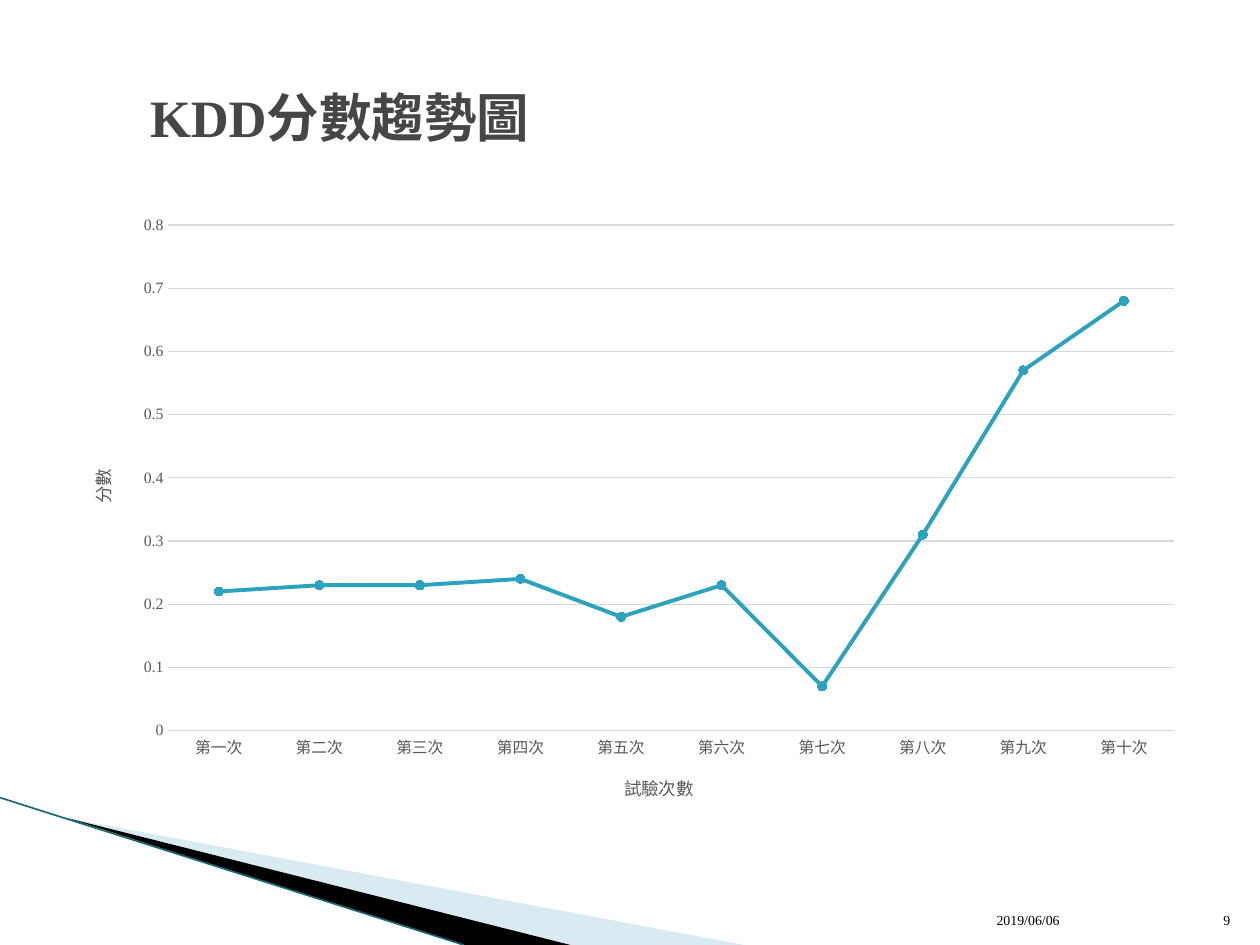
from dataclasses import dataclass

from lxml.etree import SubElement
from pptx import Presentation
from pptx.chart.data import CategoryChartData
from pptx.dml.color import RGBColor
from pptx.enum.chart import XL_CHART_TYPE, XL_MARKER_STYLE, XL_TICK_MARK
from pptx.enum.shapes import MSO_CONNECTOR
from pptx.enum.text import MSO_ANCHOR, PP_ALIGN
from pptx.oxml import parse_xml
from pptx.oxml.ns import nsdecls, qn
from pptx.util import Cm, Pt


@dataclass(frozen=True)
class Theme:
    font: str = "Times New Roman"
    title: RGBColor = RGBColor(0x46, 0x46, 0x46)
    text: RGBColor = RGBColor(0, 0, 0)
    axis_text: RGBColor = RGBColor(0x59, 0x59, 0x59)
    grid: RGBColor = RGBColor(0xD9, 0xD9, 0xD9)
    accent: RGBColor = RGBColor(0x2D, 0xA2, 0xBF)
    edge: RGBColor = RGBColor(0x16, 0x69, 0x7A)
    pale: RGBColor = RGBColor(0xA0, 0xCB, 0xDC)
    title_size: Pt = Pt(30)
    axis_title_size: Pt = Pt(10)
    tick_size: Pt = Pt(9)
    footer_size: Pt = Pt(7.9)


THEME = Theme()
WIDTH, HEIGHT = 25.4, 19.05

TRIALS = [f"第{number}次" for number in "一二三四五六七八九十"]
SCORES = [0.22, 0.23, 0.23, 0.24, 0.18, 0.23, 0.07, 0.31, 0.57, 0.68]


def style_font(font, size, color, bold=False):
    font.name = THEME.font
    font.size = size
    font.bold = bold
    font.color.rgb = color


def add_wedge(slide, points, color, opacity=100):
    """Draw a borderless polygon through points given in centimetres."""
    start, *rest = [(Cm(x), Cm(y)) for x, y in points]
    builder = slide.shapes.build_freeform(*start)
    builder.add_line_segments(rest)
    wedge = builder.convert_to_shape()
    wedge.shadow.inherit = False
    wedge.fill.solid()
    wedge.fill.fore_color.rgb = color
    wedge.line.fill.background()
    if opacity < 100:
        rgb = wedge.element.spPr.find(qn("a:solidFill")).find(qn("a:srgbClr"))
        SubElement(rgb, qn("a:alpha"), val=str(opacity * 1000))


def add_corner(slide, left, top, width, height):
    """Fan of two wedges and an edge line running to the bottom of the box."""
    bottom = top + height
    tip_x, tip_y = left + 1.35, top + 0.41
    add_wedge(slide, [(tip_x, tip_y), (left + width, bottom),
                      (left + 11.5, bottom)], THEME.pale, opacity=40)
    add_wedge(slide, [(tip_x, tip_y), (left + 11.5, bottom),
                      (left + 9.35, bottom)], THEME.text)
    edge = slide.shapes.add_connector(
        MSO_CONNECTOR.STRAIGHT, Cm(left), Cm(top), Cm(left + 9.35), Cm(bottom))
    edge.line.color.rgb = THEME.edge
    edge.line.width = Pt(0.95)
    SubElement(edge.element.spPr, qn("a:effectLst"))


def place_title(slide, left, top, width, height):
    title = slide.shapes.title
    title.left, title.top = Cm(left), Cm(top)
    title.width, title.height = Cm(width), Cm(height)
    frame = title.text_frame
    frame.text = "KDD分數趨勢圖"
    frame.vertical_anchor = MSO_ANCHOR.MIDDLE
    paragraph = frame.paragraphs[0]
    paragraph.alignment = PP_ALIGN.LEFT
    style_font(paragraph.runs[0].font, THEME.title_size, THEME.title, bold=True)


def add_footer(slide, left, top, width, height):
    """Date on the left and slide number on the right of the box."""
    date_width = 3.58
    parts = [("2019/06/06", left, date_width, PP_ALIGN.LEFT),
             ("9", left + date_width, width - date_width, PP_ALIGN.RIGHT)]
    for wording, part_left, part_width, alignment in parts:
        footer = slide.shapes.add_textbox(
            Cm(part_left), Cm(top), Cm(part_width), Cm(height))
        frame = footer.text_frame
        frame.word_wrap = True
        frame.vertical_anchor = MSO_ANCHOR.BOTTOM
        frame.text = wording
        paragraph = frame.paragraphs[0]
        paragraph.alignment = alignment
        style_font(paragraph.runs[0].font, THEME.footer_size, THEME.text)


def style_axis(axis, title, rotation=0):
    frame = axis.axis_title.text_frame
    frame.text = title
    style_font(frame.paragraphs[0].runs[0].font,
               THEME.axis_title_size, THEME.axis_text)
    body = axis.axis_title.element.xpath(".//a:bodyPr")[0]
    body.set("rot", str(rotation * 60000))
    body.set("vert", "horz")
    style_font(axis.tick_labels.font, THEME.tick_size, THEME.axis_text)
    axis.major_tick_mark = XL_TICK_MARK.NONE
    axis.minor_tick_mark = XL_TICK_MARK.NONE


def set_plot_layout(chart, x, y, w, h):
    """Fix the inner plot area, in fractions of the chart."""
    plot_area = chart.element.xpath(".//c:plotArea")[0]
    for layout in plot_area.findall(qn("c:layout")):
        plot_area.remove(layout)
    sizes = "".join(f'<c:{tag} val="{value}"/>'
                    for tag, value in zip("xywh", (x, y, w, h)))
    plot_area.insert(0, parse_xml(
        f'<c:layout {nsdecls("c")}><c:manualLayout><c:layoutTarget val="inner"/>'
        f'<c:xMode val="edge"/><c:yMode val="edge"/>{sizes}'
        '</c:manualLayout></c:layout>'))


def add_score_chart(slide, left, top, width, height):
    data = CategoryChartData()
    data.categories = TRIALS
    data.add_series("Series 1", SCORES)
    chart = slide.shapes.add_chart(
        XL_CHART_TYPE.LINE_MARKERS, Cm(left), Cm(top), Cm(width), Cm(height),
        data).chart
    style_font(chart.font, THEME.axis_title_size, THEME.text)
    chart.has_title = False
    chart.has_legend = False
    set_plot_layout(chart, 0.093, 0.034, 0.887, 0.811)

    style_axis(chart.category_axis, "試驗次數")
    chart.category_axis.format.line.color.rgb = THEME.grid
    chart.category_axis.format.line.width = Pt(0.75)

    score_axis = chart.value_axis
    style_axis(score_axis, "分數", rotation=-90)
    score_axis.minimum_scale, score_axis.maximum_scale = 0, 0.8
    score_axis.major_unit = 0.1
    score_axis.format.line.fill.background()
    gridlines = score_axis.major_gridlines.format.line
    gridlines.color.rgb = THEME.grid
    gridlines.width = Pt(0.75)

    chart.plots[0].vary_by_categories = False
    scores = chart.plots[0].series[0]
    scores.smooth = False
    scores.format.line.color.rgb = THEME.accent
    scores.format.line.width = Pt(2.25)
    scores.marker.style = XL_MARKER_STYLE.CIRCLE
    scores.marker.size = 5
    scores.marker.format.fill.solid()
    scores.marker.format.fill.fore_color.rgb = THEME.accent
    scores.marker.format.line.color.rgb = THEME.accent


def main():
    deck = Presentation()
    deck.slide_width, deck.slide_height = Cm(WIDTH), Cm(HEIGHT)
    slide = deck.slides.add_slide(deck.slide_layouts[5])
    add_corner(slide, 0, 16.08, 15, HEIGHT - 16.08)
    place_title(slide, 2.77, 0.76, 21.36, 3.18)
    add_footer(slide, 19.84, 17.81, 5.21, 1.02)
    add_score_chart(slide, 1.27, 4.11, 22.86, 12.57)
    deck.save("out.pptx")


if __name__ == "__main__":
    main()
